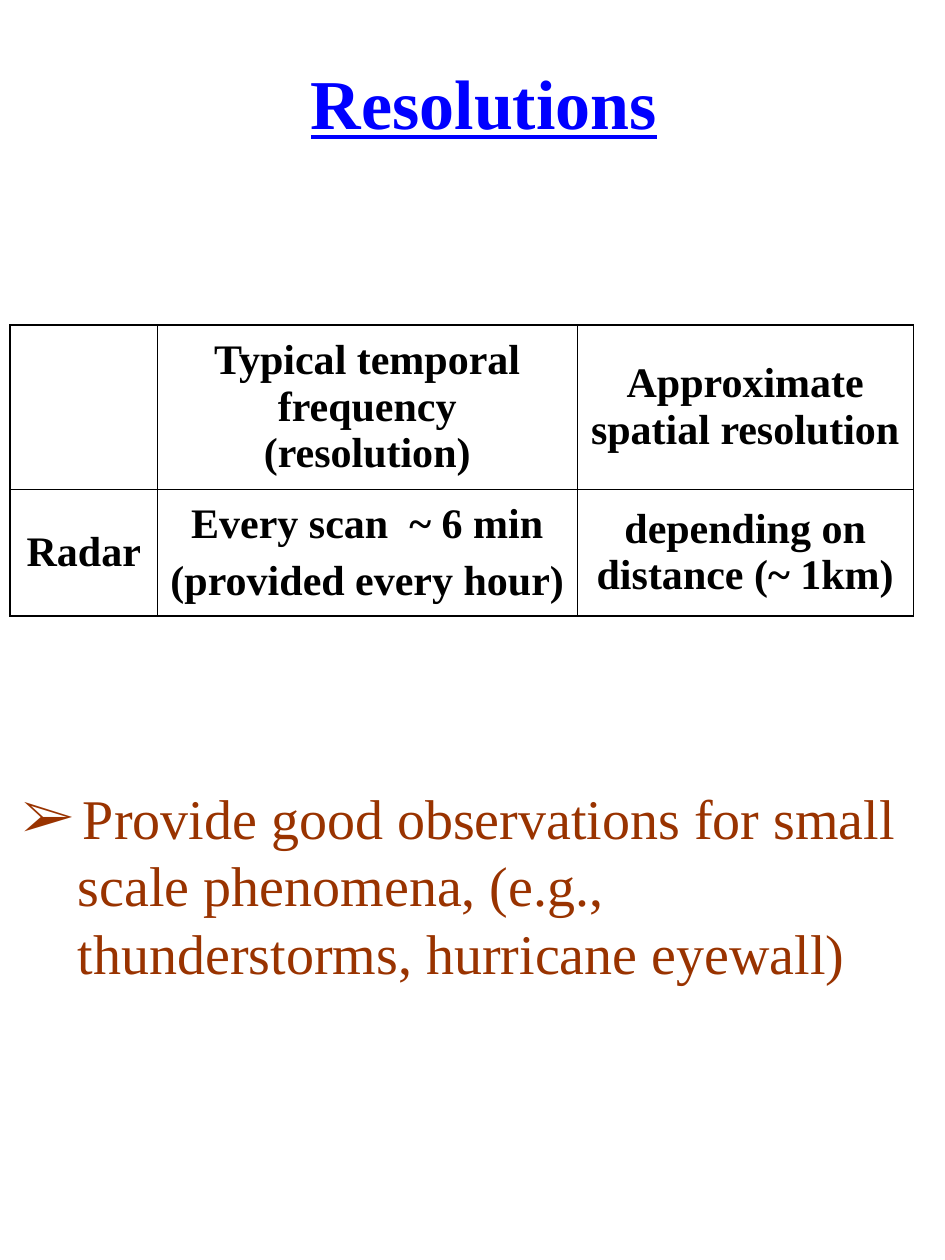
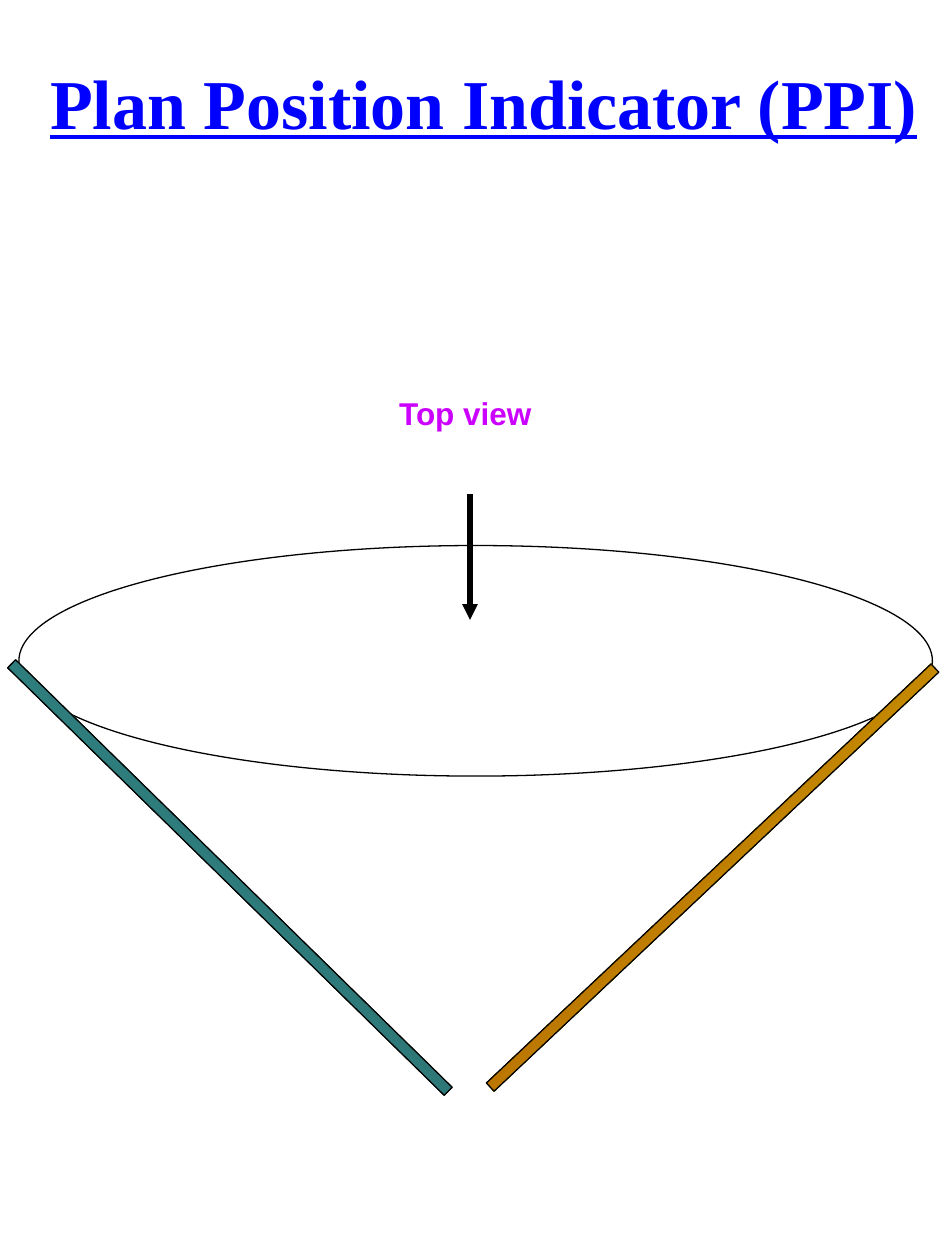
import pptx
import pptx.util
import pptx.dml.color
import pptx.enum.shapes
import pptx.enum.text
import pptx.oxml
import pptx.oxml.ns
import lxml.etree

Inches = pptx.util.Inches
Pt = pptx.util.Pt
RGBColor = pptx.dml.color.RGBColor
PP_ALIGN = pptx.enum.text.PP_ALIGN
MSO_SHAPE = pptx.enum.shapes.MSO_SHAPE
qn = pptx.oxml.ns.qn

BLACK = RGBColor(0x00, 0x00, 0x00)
TITLE_BLUE = RGBColor(0x00, 0x00, 0xFF)
RUST = RGBColor(0x99, 0x33, 0x00)
MAGENTA = RGBColor(0xCC, 0x00, 0xFF)
TEAL = RGBColor(0x33, 0xCC, 0xCC)
CHARCOAL = RGBColor(0x29, 0x29, 0x29)
YELLOW = RGBColor(0xFF, 0xFF, 0x00)
MAROON = RGBColor(0x80, 0x00, 0x00)

SERIF = "Times New Roman"
SANS = "Arial"
TITLE_CENTER = 3.84

RESOLUTION_ROWS = [
    [[], ["Typical temporal frequency (resolution)"], ["Approximate spatial resolution"]],
    [["Radar"], ["Every scan  ~ 6 min", "(provided every hour)"], ["depending on distance (~ 1km)"]],
]
COLUMN_WIDTHS = [1.17, 3.33, 2.67]
ROW_HEIGHTS = [1.3, 1.01]
OUTER_BORDER, INNER_BORDER = 1.08, 0.45

BENEFIT_LINES = [
    "Provide good observations for small",
    "scale phenomena, (e.g.,",
    "thunderstorms, hurricane eyewall)",
]

BEAM_SIZE = (4.85, 0.09)
BEAMS = [
    (-0.6, 6.92, 44.4, 44, TEAL, CHARCOAL),
    (3.23, 6.92, 136.7, 137, YELLOW, MAROON),
]


def style_font(paragraph, size, color, face=SERIF, bold=False, underline=False):
    font = paragraph.font
    font.name, font.size, font.bold = face, Pt(size), bold
    font.underline = underline
    font.color.rgb = color


def add_text(slide, box, lines, wrap=False):
    frame = slide.shapes.add_textbox(*map(Inches, box)).text_frame
    frame.word_wrap = wrap
    frame.auto_size = pptx.enum.text.MSO_AUTO_SIZE.SHAPE_TO_FIT_TEXT
    frame.text = "\n".join(lines)
    return frame.paragraphs


def add_titled_slide(deck, title, width):
    slide = deck.slides.add_slide(deck.slide_layouts[6])
    box = (TITLE_CENTER - width / 2, 0.42, width, 0.77)
    heading = add_text(slide, box, [title])[0]
    heading.alignment = PP_ALIGN.CENTER
    style_font(heading, 40, TITLE_BLUE, bold=True, underline=True)
    return slide


def set_borders(cell, row, column):
    edges = {
        "a:lnL": column == 0,
        "a:lnR": column == len(COLUMN_WIDTHS) - 1,
        "a:lnT": row == 0,
        "a:lnB": row == len(ROW_HEIGHTS) - 1,
    }
    properties = cell._tc.get_or_add_tcPr()
    for position, (tag, is_outer) in enumerate(edges.items()):
        width = Pt(OUTER_BORDER if is_outer else INNER_BORDER)
        border = lxml.etree.Element(qn(tag), w=str(width))
        fill = lxml.etree.SubElement(border, qn("a:solidFill"))
        lxml.etree.SubElement(fill, qn("a:srgbClr"), val=str(BLACK))
        properties.insert(position, border)


def add_resolution_table(slide):
    table = slide.shapes.add_table(
        len(ROW_HEIGHTS), len(COLUMN_WIDTHS), Inches(0.08), Inches(2.58),
        Inches(sum(COLUMN_WIDTHS)), Inches(sum(ROW_HEIGHTS))).table
    table.first_row = table.horz_banding = False
    for column, width in zip(table.columns, COLUMN_WIDTHS):
        column.width = Inches(width)
    for row, height in zip(table.rows, ROW_HEIGHTS):
        row.height = Inches(height)
    for r, row in enumerate(RESOLUTION_ROWS):
        for c, lines in enumerate(row):
            cell = table.cell(r, c)
            cell.fill.background()
            cell.vertical_anchor = pptx.enum.text.MSO_ANCHOR.MIDDLE
            set_borders(cell, r, c)
            cell.text = "\n".join(lines)
            for i, paragraph in enumerate(cell.text_frame.paragraphs):
                paragraph.alignment = PP_ALIGN.CENTER
                if i:
                    paragraph.space_before = Pt(6)
                style_font(paragraph, 24, BLACK, bold=True)


def add_benefit(slide):
    for i, line in enumerate(add_text(slide, (0.08, 6.17, 7.42, 1.7), BENEFIT_LINES, wrap=True)):
        properties = line._p.get_or_add_pPr()
        properties.set("marL", str(Inches(0.44 if i else 0.48)))
        if i == 0:
            properties.set("indent", str(Inches(-0.48)))
            color = lxml.etree.SubElement(properties, qn("a:buClr"))
            lxml.etree.SubElement(color, qn("a:srgbClr"), val=str(RUST))
            lxml.etree.SubElement(properties, qn("a:buFont"), typeface=SERIF)
            lxml.etree.SubElement(properties, qn("a:buChar"), char="➢")
        style_font(line, 32, RUST)


def add_outlined(slide, preset, box):
    shape = slide.shapes.add_shape(preset, *map(Inches, box))
    shape.shadow.inherit = False
    shape.line.color.rgb = BLACK
    shape.line.width = Pt(0.75)
    return shape


def add_scan_cone(slide):
    add_outlined(slide, MSO_SHAPE.OVAL, (0.15, 4.33, 7.25, 1.83)).fill.background()

    view_arrow = slide.shapes.add_connector(
        pptx.enum.shapes.MSO_CONNECTOR.STRAIGHT,
        Inches(3.73), Inches(3.92), Inches(3.73), Inches(4.92))
    view_arrow.line.color.rgb = BLACK
    view_arrow.line.width = Pt(3)
    lxml.etree.SubElement(view_arrow.line._get_or_add_ln(), qn("a:tailEnd"), type="triangle")
    lxml.etree.SubElement(view_arrow._element.spPr, qn("a:effectLst"))

    for left, top, rotation, angle, start, end in BEAMS:
        beam = add_outlined(slide, MSO_SHAPE.RECTANGLE, (left, top, *BEAM_SIZE))
        beam.rotation = rotation
        beam.fill.gradient()
        beam.fill.gradient_angle = angle
        beam._element.spPr.find(qn("a:gradFill")).set("rotWithShape", "0")
        for stop, color, position in zip(beam.fill.gradient_stops, (start, end), (0, 1)):
            stop.color.rgb = color
            stop.position = position

    label = add_text(slide, (3.07, 3.08, 1.27, 0.4), ["Top view"])[0]
    style_font(label, 18, MAGENTA, face=SANS, bold=True)


def main():
    deck = pptx.Presentation()
    deck.slide_width, deck.slide_height = Inches(7.5), Inches(10)

    resolutions = add_titled_slide(deck, "Resolutions", 3.0)
    add_resolution_table(resolutions)
    add_benefit(resolutions)

    add_scan_cone(add_titled_slide(deck, "Plan Position Indicator (PPI)", 7.1))
    deck.save("out.pptx")


if __name__ == "__main__":
    main()
